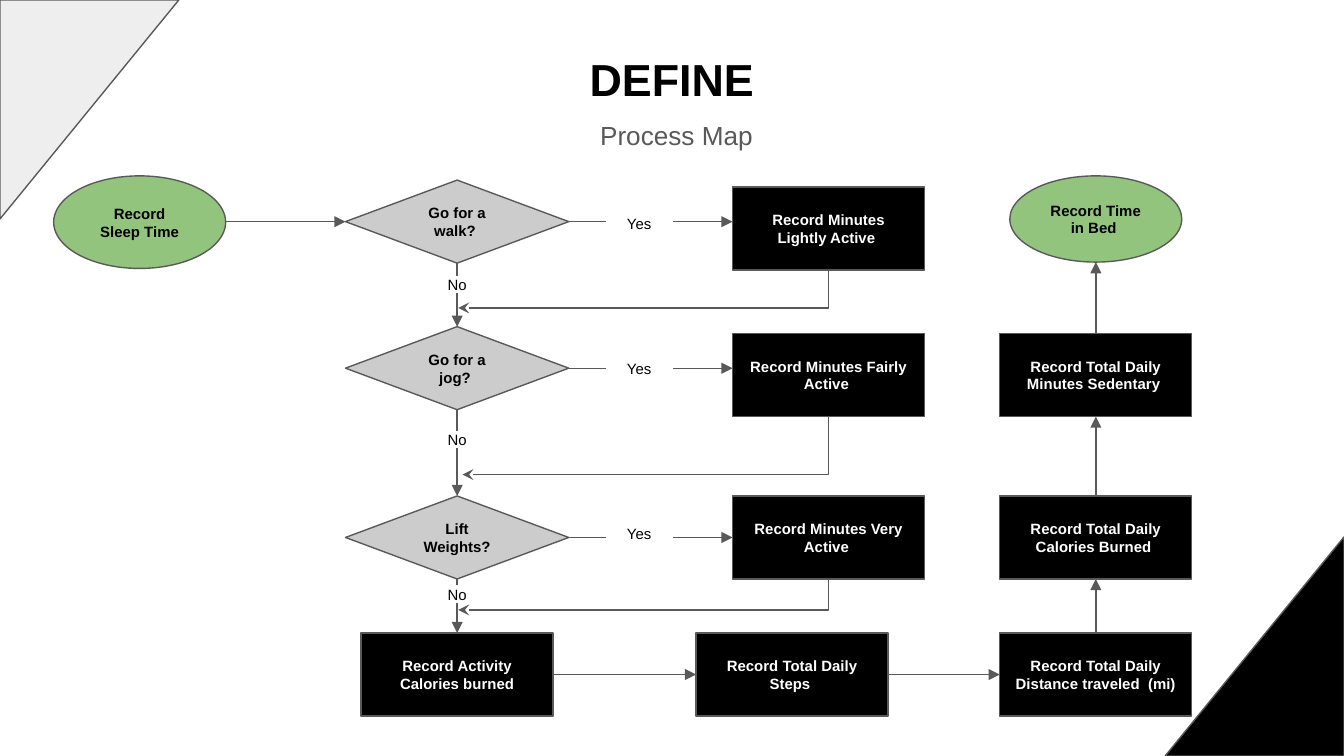
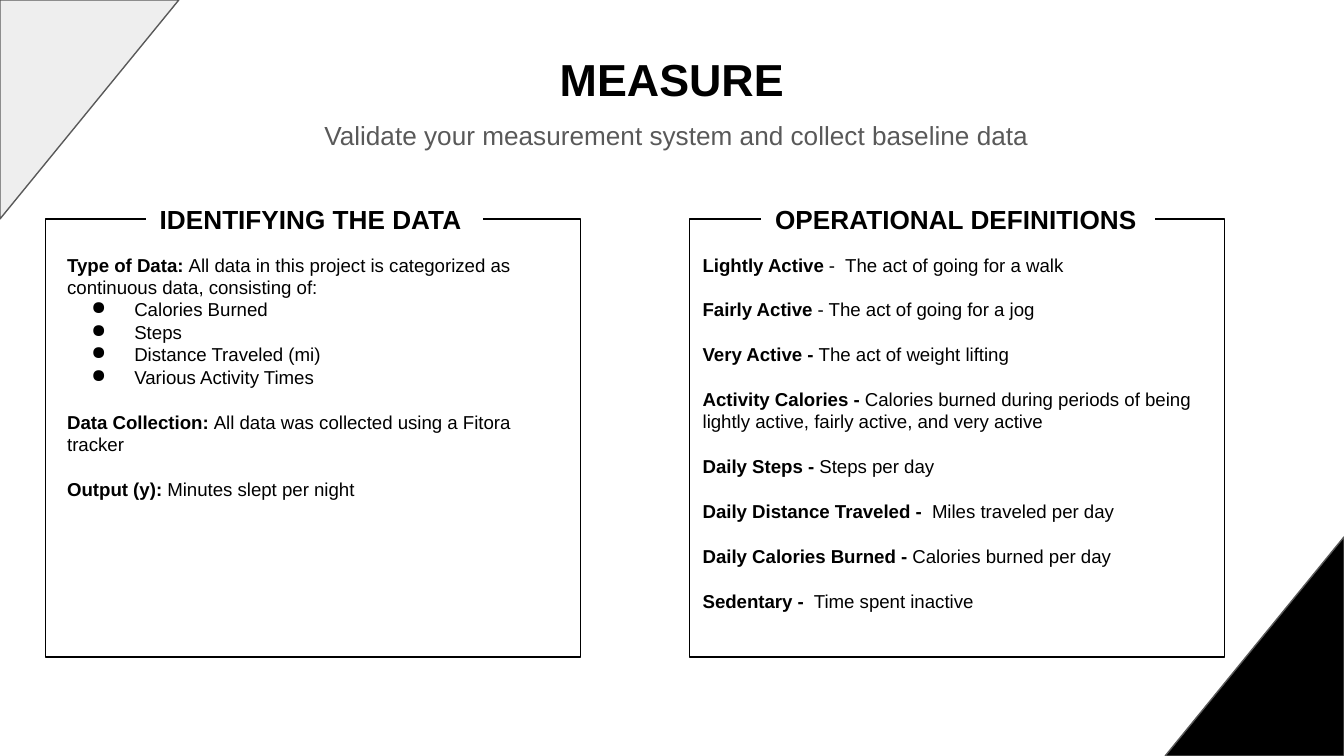
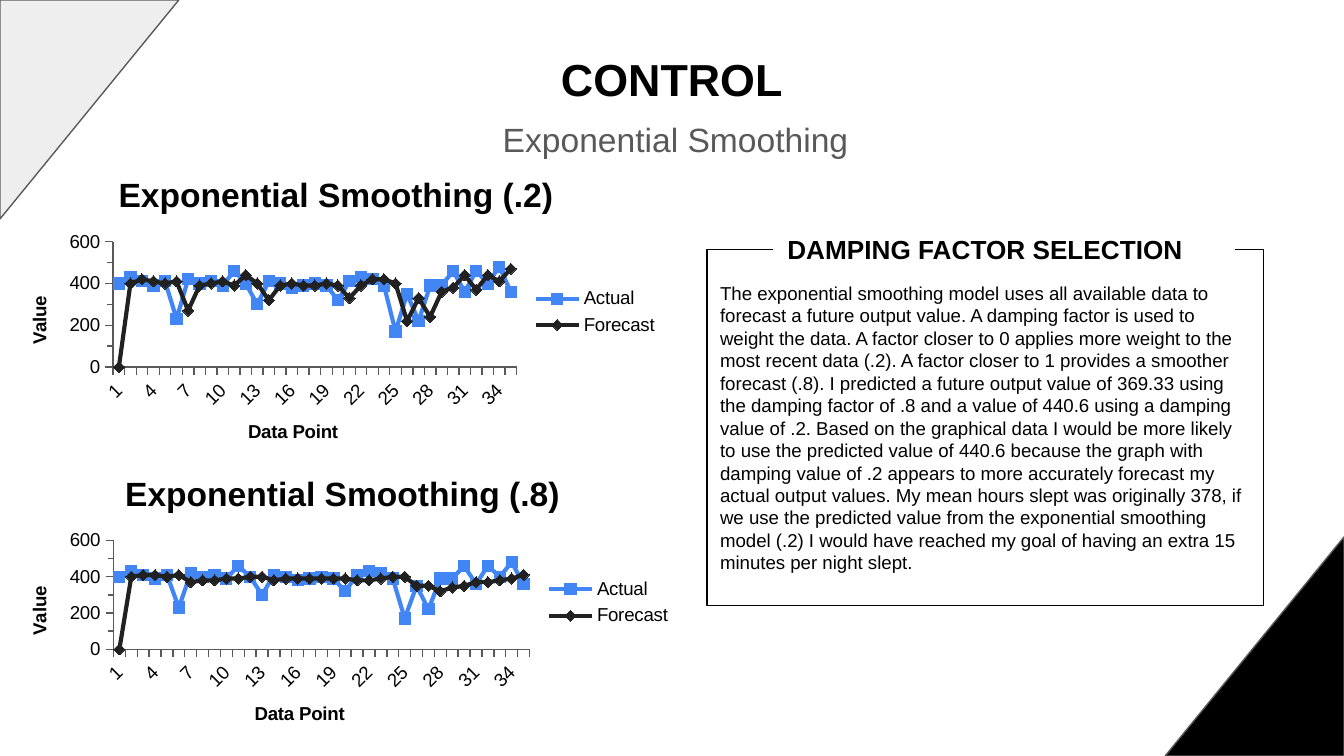
"""Build three slides of a sleep improvement project: process map, measures and forecasts."""
from lxml import etree
from pptx import Presentation
from pptx.chart.data import CategoryChartData
from pptx.dml.color import RGBColor
from pptx.enum.chart import XL_CHART_TYPE, XL_LEGEND_POSITION, XL_MARKER_STYLE, XL_TICK_MARK
from pptx.enum.shapes import MSO_CONNECTOR, MSO_SHAPE
from pptx.enum.text import MSO_ANCHOR, MSO_AUTO_SIZE, PP_ALIGN
from pptx.oxml.ns import qn
from pptx.util import Cm, Pt

RECTANGLE, OVAL, DIAMOND = MSO_SHAPE.RECTANGLE, MSO_SHAPE.OVAL, MSO_SHAPE.DIAMOND
TRIANGLE = MSO_SHAPE.RIGHT_TRIANGLE
STRAIGHT, ELBOW = MSO_CONNECTOR.STRAIGHT, MSO_CONNECTOR.ELBOW
LEFT, CENTER = PP_ALIGN.LEFT, PP_ALIGN.CENTER
TOP, MIDDLE, BOTTOM = MSO_ANCHOR.TOP, MSO_ANCHOR.MIDDLE, MSO_ANCHOR.BOTTOM
NO_AUTOFIT = MSO_AUTO_SIZE.NONE
LINE_MARKERS = XL_CHART_TYPE.LINE_MARKERS
LEGEND_RIGHT = XL_LEGEND_POSITION.RIGHT
TICK_OUTSIDE = XL_TICK_MARK.OUTSIDE
SQUARE_MARKER, DIAMOND_MARKER = XL_MARKER_STYLE.SQUARE, XL_MARKER_STYLE.DIAMOND

FONT = "Arial"
COLORS = {
    "black": "000000", "white": "FFFFFF", "outline": "595959", "corner": "EEEEEE",
    "terminal": "93C47D", "decision": "CCCCCC", "actual": "4285F4", "forecast": "212121",
}
SLIDE_WIDTH, SLIDE_HEIGHT = 25.4, 14.29
INSET = 0.25

START_X, DECISION_X, YES_X, ACTIVITY_X = 2.64, 8.64, 12.08, 15.66
STEPS_X, TOTAL_X = 14.97, 20.71
STEP_WIDTH, STEP_HEIGHT = 3.63, 1.57
DECISION_WIDTH, OVAL_WIDTH = 4.22, 3.25
LABEL_WIDTH = 1.24
SUMMARY_Y = 12.75
DECISIONS = [
    ("Go for a walk? ", "Record Minutes Lightly Active ", 4.19, 4.32, 4.22, 5.38, 5.82, 8.66),
    ("Go for a jog? ", "Record Minutes Fairly Active ", 6.96, 7.09, 6.96, 8.31, 8.97, 8.74),
    ("Lift Weights?", "Record Minutes Very Active ", 10.16, 10.16, 10.08, 11.23, 11.53, 8.66),
]
SUMMARY_STEPS = [
    ("Record Activity Calories burned", DECISION_X),
    ("Record Total Daily Steps ", STEPS_X),
    ("Record Total Daily Distance traveled  (mi)", TOTAL_X),
]
TOTAL_STEPS = [
    ("Record Total Daily Calories Burned ", 10.16),
    ("Record Total Daily Minutes Sedentary ", 7.09),
]

DATA_TYPES = ["Calories Burned", "Steps", "Distance Traveled (mi)", "Various Activity Times"]
DATA_NOTES = [
    ("Data Collection: ", "All data was collected using a Fitora tracker"),
    ("Output (y): ", "Minutes slept per night"),
]
DEFINITIONS = [
    ("Lightly Active", " -  The act of going for a walk"),
    ("Fairly Active", " - The act of going for a jog"),
    ("Very Active - ", "The act of weight lifting"),
    ("Activity Calories - ", "Calories burned during periods of being lightly active, "
                             "fairly active, and very active"),
    ("Daily Steps - ", "Steps per day"),
    ("Daily Distance Traveled -  ", "Miles traveled per day"),
    ("Daily Calories Burned -", " Calories burned per day"),
    ("Sedentary - ", " Time spent inactive"),
]
DAMPING_TEXT = (
    "The exponential smoothing model uses all available data to forecast a future output value. "
    "A damping factor is used to weight the data. A factor closer to 0 applies more weight to the "
    "most recent data (.2). A factor closer to 1 provides a smoother forecast (.8). I predicted a "
    "future output value of 369.33 using the damping factor of .8 and a value of 440.6 using a "
    "damping value of .2. Based on the graphical data I would be more likely to use the predicted "
    "value of 440.6 because the graph with damping value of .2 appears to more accurately forecast "
    "my actual output values. My mean hours slept was originally 378, if we use the predicted value "
    "from the exponential smoothing model (.2) I would have reached my goal of having an extra 15 "
    "minutes per night slept."
)
ACTUAL = [400, 430, 410, 390, 410, 230, 420, 400, 410, 390, 460, 400, 300, 410, 400, 380, 390, 400,
          390, 320, 410, 430, 420, 390, 170, 350, 220, 390, 390, 460, 360, 460, 400, 480, 360]
FORECAST_2 = [None, 400, 420, 410, 400, 410, 270, 390, 400, 410, 390, 440, 400, 320, 390, 400, 390,
              390, 400, 390, 330, 390, 420, 420, 400, 220, 330, 240, 360, 380, 440, 370, 440, 410,
              470]
FORECAST_8 = [None, 400, 410, 410, 400, 410, 370, 380, 380, 390, 390, 400, 400, 380, 390, 390, 390,
              390, 390, 390, 380, 380, 390, 400, 400, 350, 350, 320, 340, 350, 370, 370, 380, 390,
              410]


def color(name):
    """Return the named palette colour."""
    return RGBColor.from_string(COLORS[name])


def style_font(font, size, color_name="black", bold=False):
    """Apply the deck's font with a size, colour and weight."""
    font.name, font.size, font.bold = FONT, Pt(size), bold
    font.color.rgb = color(color_name)


def add_run(paragraph, text, size, color_name="black", bold=False):
    """Append one formatted run to a paragraph."""
    run = paragraph.add_run()
    run.text = text
    style_font(run.font, size, color_name, bold)


def prepare_frame(text_frame, anchor):
    """Set wrapping, insets and anchor, and return the first paragraph."""
    text_frame.word_wrap = True
    text_frame.auto_size = NO_AUTOFIT
    text_frame.vertical_anchor = anchor
    text_frame.margin_left = text_frame.margin_right = Cm(INSET)
    text_frame.margin_top = text_frame.margin_bottom = Cm(INSET)
    return text_frame.paragraphs[0]


def add_box(slide, kind, left, top, width, height, fill, line):
    """Add a filled and outlined preset shape."""
    shape = slide.shapes.add_shape(kind, Cm(left), Cm(top), Cm(width), Cm(height))
    shape.shadow.inherit = False
    shape.fill.solid()
    shape.fill.fore_color.rgb = color(fill)
    shape.line.color.rgb = color(line)
    shape.line.width = Pt(0.75)
    return shape


def write_in(shape, text, size, color_name="black", bold=False, alignment=CENTER):
    """Write one vertically centred paragraph in a shape."""
    paragraph = prepare_frame(shape.text_frame, MIDDLE)
    paragraph.alignment = alignment
    add_run(paragraph, text, size, color_name, bold)


def add_node(slide, kind, text, x, y, width, height, fill, text_color="black"):
    """Add a process map node centred on a point."""
    node = add_box(slide, kind, x - width / 2, y - height / 2, width, height, fill, "outline")
    write_in(node, text, 8, text_color, bold=True)


def add_step(slide, text, x, y):
    """Add a black process step."""
    add_node(slide, RECTANGLE, text, x, y, STEP_WIDTH, STEP_HEIGHT, "black", "white")


def add_answer(slide, text, x, y, height):
    """Add a white label that interrupts an arrow."""
    label = add_box(slide, RECTANGLE, x - LABEL_WIDTH / 2, y - height / 2, LABEL_WIDTH, height,
                    "white", "white")
    write_in(label, text, 8)


def add_arrow(slide, start, end, kind=STRAIGHT, head="triangle"):
    """Add a connector with an arrowhead at its end."""
    connector = slide.shapes.add_connector(kind, *(Cm(value) for value in (*start, *end)))
    connector.line.color.rgb = color("outline")
    connector.line.width = Pt(0.75)
    properties = connector._element.spPr
    etree.SubElement(properties.find(qn("a:ln")), qn("a:tailEnd"), type=head)
    etree.SubElement(properties, qn("a:effectLst"))
    return connector


def add_return_arrow(slide, start, end):
    """Add an arrow that goes down from start and then left to end."""
    run, drop = start[0] - end[0], end[1] - start[1]
    left = (start[0] + end[0] - drop) / 2
    top = (start[1] + end[1] - run) / 2
    connector = add_arrow(slide, (left, top), (left + drop, top + run), ELBOW, "stealth")
    properties = connector._element.spPr
    properties.find(qn("a:xfrm")).set("rot", "5400000")
    properties.find(qn("a:prstGeom")).set("prst", "bentConnector2")


def place_placeholder(placeholder, top, left, height, anchor):
    """Move a heading placeholder and return its centred paragraph."""
    placeholder.left, placeholder.top = Cm(left), Cm(top)
    placeholder.width, placeholder.height = Cm(23.67), Cm(height)
    paragraph = prepare_frame(placeholder.text_frame, anchor)
    paragraph.alignment = CENTER
    paragraph.space_before = Pt(0)
    return paragraph


def add_slide(presentation, title, subtitle, subtitle_size=14):
    """Add a slide with its headings and corner triangles."""
    slide = presentation.slides.add_slide(presentation.slide_layouts[0])
    heading = place_placeholder(slide.shapes.title, 0.36, 0.86, 1.88, BOTTOM)
    add_run(heading, title, 24, bold=True)
    subheading = place_placeholder(slide.placeholders[1], 2.08, 1.02, 1.24, TOP)
    subheading.line_spacing = 0.9
    add_run(subheading, subtitle, subtitle_size, "outline")
    width, height = 4.14, 3.38
    shift = (width - height) / 2
    for left, top, rotation, fill in (
        (-shift, shift, 90, "corner"),
        (SLIDE_WIDTH - width + shift, SLIDE_HEIGHT - height - shift, 270, "black"),
    ):
        add_box(slide, TRIANGLE, left, top, width, height, fill, "outline").rotation = rotation
    return slide


def add_panel(slide, left, top, width, height):
    """Add a white panel with a thin black frame."""
    return add_box(slide, RECTANGLE, left, top, width, height, "white", "black")


def add_panel_heading(slide, text, left, top, width):
    """Add a heading that interrupts the panel's top edge."""
    heading = add_box(slide, RECTANGLE, left, top, width, 1.02, "white", "white")
    write_in(heading, text, 14, bold=True, alignment=LEFT)


def add_panel_text(slide, left, width, height):
    """Add the text box of a panel and return its frame."""
    text_box = slide.shapes.add_textbox(Cm(left), Cm(4.11), Cm(width), Cm(height))
    prepare_frame(text_box.text_frame, TOP)
    text_box.text_frame.margin_top = Cm(0.68)
    return text_box.text_frame


def write_term(paragraph, term, meaning):
    """Write a bold term followed by its plain meaning."""
    add_run(paragraph, term, 10, bold=True)
    add_run(paragraph, meaning, 10)


def add_terms(text_frame, terms):
    """Add spaced paragraphs of terms with meanings."""
    for term, meaning in terms:
        paragraph = text_frame.add_paragraph()
        paragraph.space_before = Pt(12)
        write_term(paragraph, term, meaning)


def add_bullet(text_frame, text):
    """Add one bulleted paragraph."""
    paragraph = text_frame.add_paragraph()
    properties = paragraph._p.get_or_add_pPr()
    properties.set("marL", str(Cm(1.27)))
    properties.set("indent", str(Cm(-0.81)))
    bullet_color = etree.SubElement(properties, qn("a:buClr"))
    etree.SubElement(bullet_color, qn("a:srgbClr"), val=COLORS["black"])
    etree.SubElement(properties, qn("a:buChar"), char="●")
    add_run(paragraph, text, 10)


def write_chart_title(titled, text, size):
    """Give a chart or an axis a bold title."""
    title = titled.chart_title if hasattr(titled, "chart_title") else titled.axis_title
    add_run(title.text_frame.paragraphs[0], text, size, bold=True)


def style_axis(axis, title):
    """Style an axis with outside ticks and no gridlines."""
    axis.has_major_gridlines = False
    axis.major_tick_mark = TICK_OUTSIDE
    axis.format.line.color.rgb = color("outline")
    style_font(axis.tick_labels.font, 10)
    write_chart_title(axis, title, 10)


def add_forecast_chart(slide, title, forecast, top, width, height):
    """Add a line chart of the actual and the forecast values."""
    data = CategoryChartData()
    data.categories = [str(point) for point in range(1, len(ACTUAL) + 1)]
    data.add_series("Actual", ACTUAL)
    data.add_series("Forecast", forecast)
    chart = slide.shapes.add_chart(LINE_MARKERS, Cm(0), Cm(top), Cm(width), Cm(height), data).chart
    style_font(chart.font, 10)
    write_chart_title(chart, title, 18)
    chart.has_legend = True
    chart.legend.position = LEGEND_RIGHT
    chart.legend.include_in_layout = False
    style_font(chart.legend.font, 10)

    plot = chart.plots[0]
    plot.vary_by_categories = False
    markers = (("actual", SQUARE_MARKER), ("forecast", DIAMOND_MARKER))
    for series, (color_name, marker) in zip(plot.series, markers):
        series.smooth = False
        series.format.line.color.rgb = color(color_name)
        series.format.line.width = Pt(2.25)
        series.marker.style, series.marker.size = marker, 6
        series.marker.format.fill.solid()
        series.marker.format.fill.fore_color.rgb = color(color_name)
        series.marker.format.line.color.rgb = color(color_name)

    style_axis(chart.category_axis, "Data Point")
    style_axis(chart.value_axis, "Value")
    chart.value_axis.minimum_scale, chart.value_axis.maximum_scale = 0, 600
    chart.value_axis.major_unit, chart.value_axis.minor_unit = 200, 100
    chart.value_axis.minor_tick_mark = TICK_OUTSIDE

    category_element = chart.category_axis._element
    category_element.find(qn("c:txPr")).find(qn("a:bodyPr")).set("rot", "-2700000")
    label_skip = etree.Element(qn("c:tickLblSkip"), val="3")
    category_element.find(qn("c:noMultiLvlLbl")).addprevious(label_skip)
    space = chart._chartSpace
    for tag, value in (("c:crossBetween", "midCat"), ("c:dispBlanksAs", "zero")):
        for element in space.iter(qn(tag)):
            element.set("val", value)


def build_process_map(presentation):
    """Build the process map slide."""
    slide = add_slide(presentation, "DEFINE", "Process Map ")
    half_step, half_height = STEP_WIDTH / 2, STEP_HEIGHT / 2
    half_decision = DECISION_WIDTH / 2
    first_y = DECISIONS[0][2]
    add_node(slide, OVAL, "Record Sleep Time", START_X, 4.2, OVAL_WIDTH, 1.75, "terminal")
    add_arrow(slide, (START_X + OVAL_WIDTH / 2, first_y), (DECISION_X - half_decision, first_y))

    next_rows = [decision[2] for decision in DECISIONS[1:]] + [SUMMARY_Y]
    for decision, next_y in zip(DECISIONS, next_rows):
        question, activity, y, activity_y, yes_y, no_y, return_y, return_x = decision
        add_node(slide, DIAMOND, question, DECISION_X, y, DECISION_WIDTH, STEP_HEIGHT, "decision")
        add_step(slide, activity, ACTIVITY_X, activity_y)
        add_arrow(slide, (DECISION_X + half_decision, y), (ACTIVITY_X - half_step, y))
        add_arrow(slide, (DECISION_X, y + half_height), (DECISION_X, next_y - half_height))
        add_return_arrow(slide, (ACTIVITY_X, activity_y + half_height), (return_x, return_y))
        add_answer(slide, "Yes", YES_X, yes_y, 0.51)
        add_answer(slide, "No", DECISION_X, no_y, 0.3)

    for text, x in SUMMARY_STEPS:
        add_step(slide, text, x, SUMMARY_Y)
    for (_, x), (_, next_x) in zip(SUMMARY_STEPS, SUMMARY_STEPS[1:]):
        add_arrow(slide, (x + half_step, SUMMARY_Y), (next_x - half_step, SUMMARY_Y))

    y = SUMMARY_Y
    for text, next_y in TOTAL_STEPS:
        add_step(slide, text, TOTAL_X, next_y)
        add_arrow(slide, (TOTAL_X, y - half_height), (TOTAL_X, next_y + half_height))
        y = next_y
    end_y, end_height = 4.14, 1.63
    add_node(slide, OVAL, "Record Time in Bed ", TOTAL_X, end_y, OVAL_WIDTH, end_height, "terminal")
    add_arrow(slide, (TOTAL_X, y - half_height), (TOTAL_X, end_y + end_height / 2))


def build_measures(presentation):
    """Build the slide of data types and definitions."""
    slide = add_slide(presentation, "MEASURE",
                      "Validate your measurement system and collect baseline data ")
    for left in (0.86, 13.03):
        add_panel(slide, left, 4.14, 10.11, 8.28)
    add_panel_heading(slide, "IDENTIFYING THE DATA", 2.77, 3.63, 6.35)
    add_panel_heading(slide, "OPERATIONAL DEFINITIONS", 14.4, 3.63, 7.42)

    data_frame = add_panel_text(slide, 1.02, 9.86, 5.64)
    write_term(data_frame.paragraphs[0], "Type of Data: ",
               "All data in this project is categorized as continuous data, consisting of:")
    for data_type in DATA_TYPES:
        add_bullet(data_frame, data_type)
    add_terms(data_frame, DATA_NOTES)

    definition_frame = add_panel_text(slide, 13.03, 10.11, 8.2)
    write_term(definition_frame.paragraphs[0], *DEFINITIONS[0])
    add_terms(definition_frame, DEFINITIONS[1:])


def build_forecasts(presentation):
    """Build the exponential smoothing slide."""
    slide = add_slide(presentation, "CONTROL", "Exponential Smoothing ", 18)
    panel = add_panel(slide, 13.36, 4.72, 10.52, 6.73)
    write_in(panel, DAMPING_TEXT, 10, alignment=LEFT)
    add_panel_heading(slide, "DAMPING FACTOR SELECTION", 14.63, 4.19, 8.69)
    add_forecast_chart(slide, "Exponential Smoothing (.2)", FORECAST_2, 2.9, 12.7, 5.99)
    add_forecast_chart(slide, "Exponential Smoothing (.8)", FORECAST_8, 8.56, 12.95, 5.66)


def main():
    """Build and save the presentation."""
    presentation = Presentation()
    presentation.slide_width, presentation.slide_height = Cm(SLIDE_WIDTH), Cm(SLIDE_HEIGHT)
    build_process_map(presentation)
    build_measures(presentation)
    build_forecasts(presentation)
    presentation.save("out.pptx")


if __name__ == "__main__":
    main()
